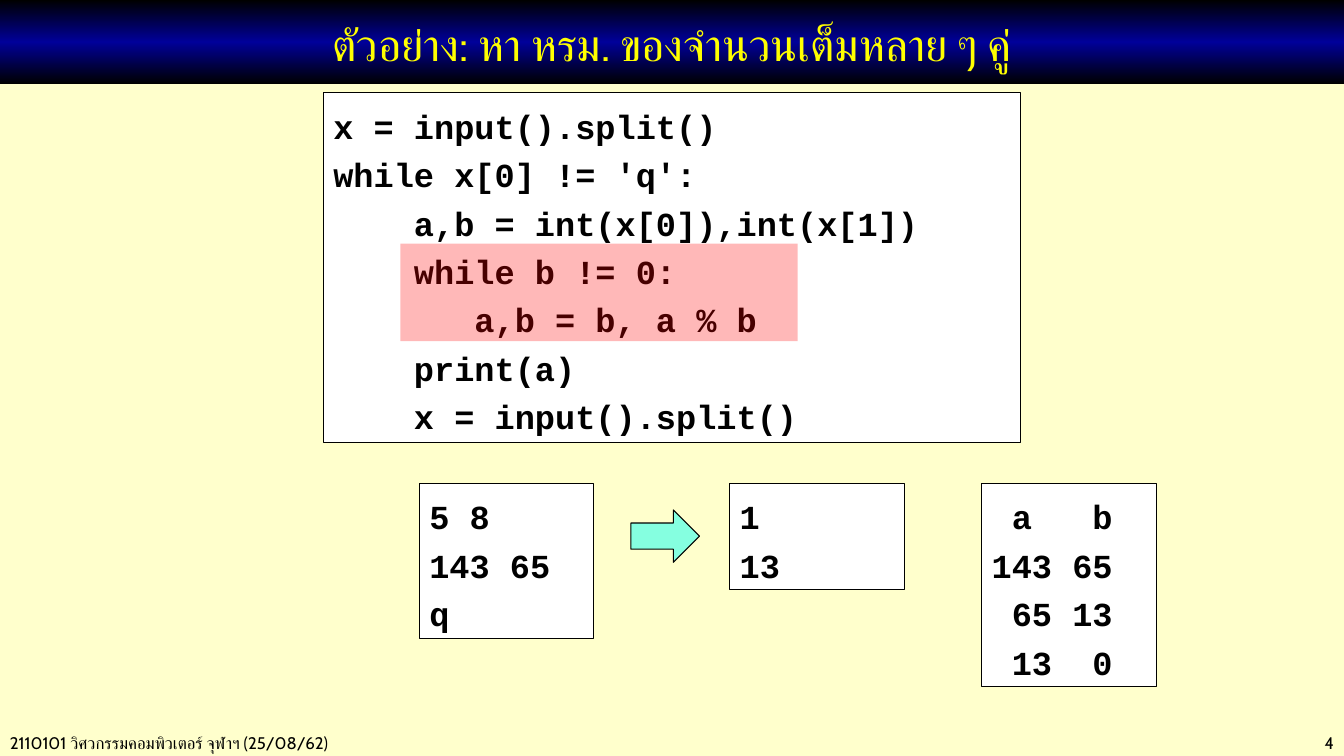
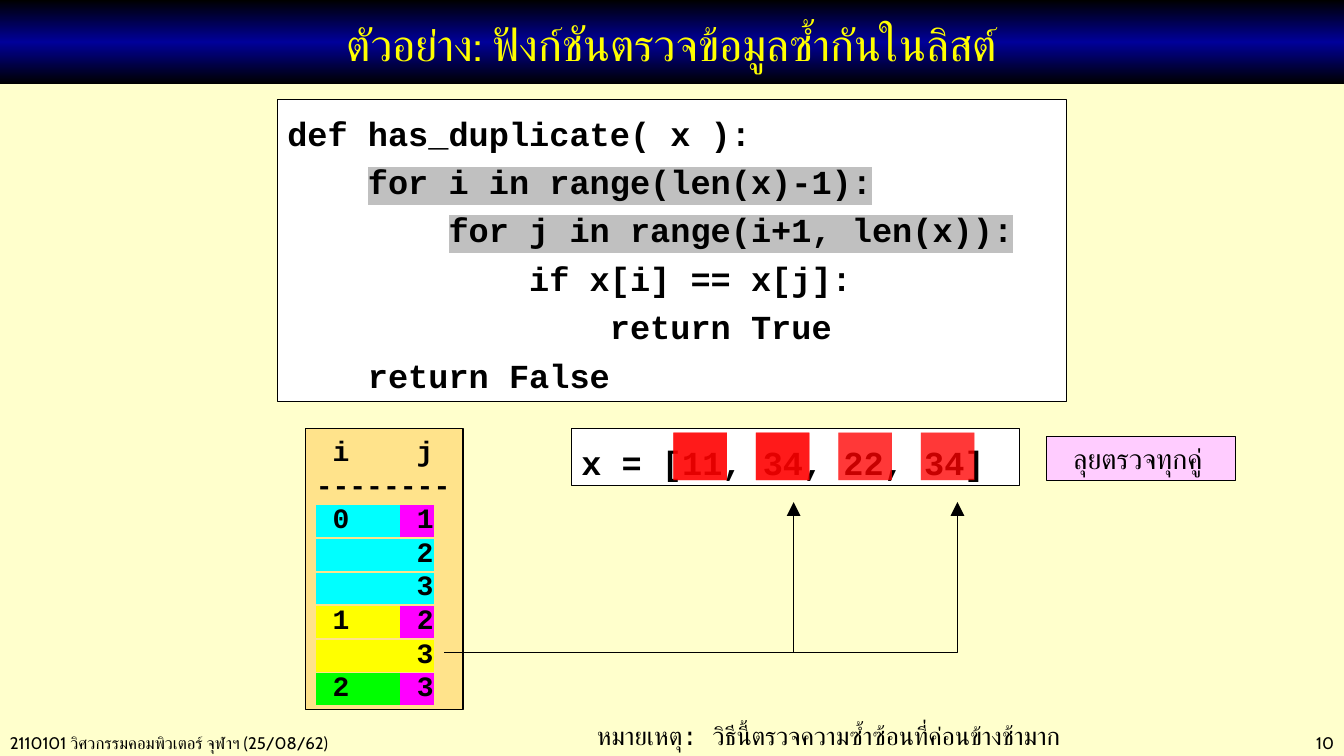
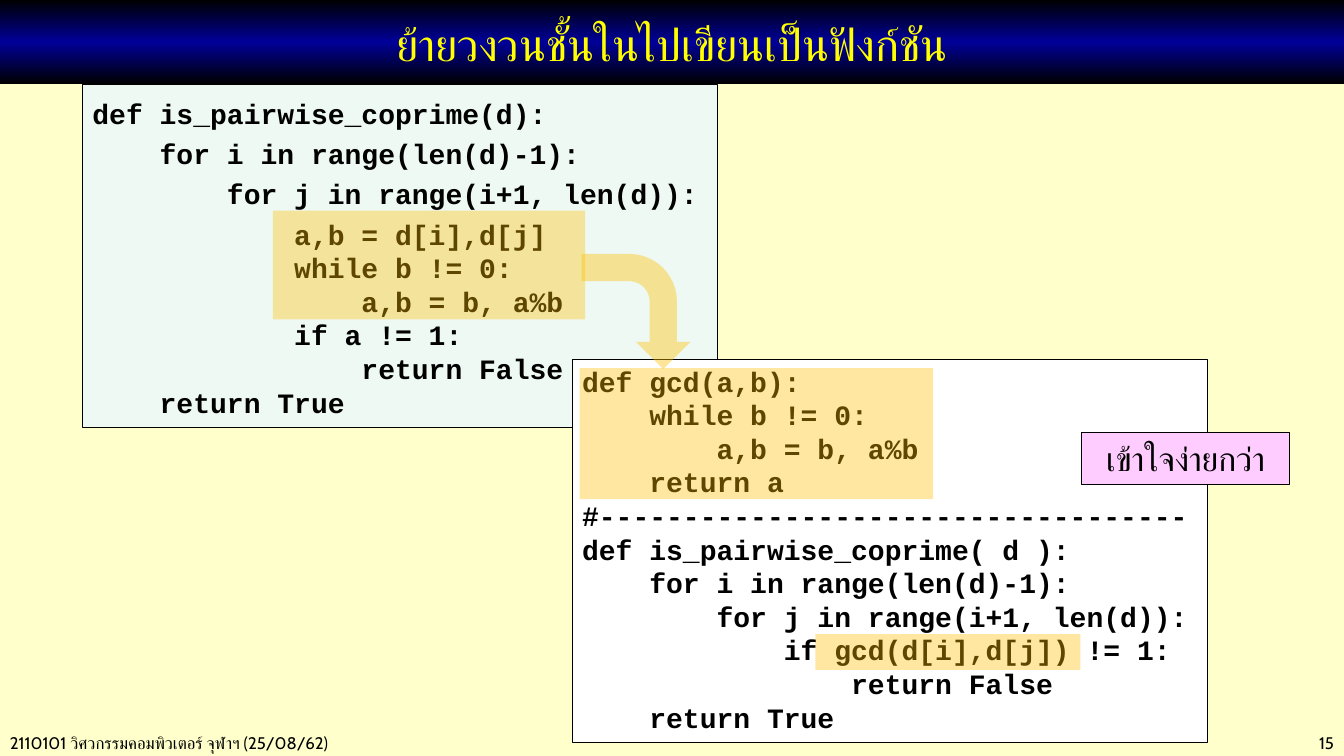
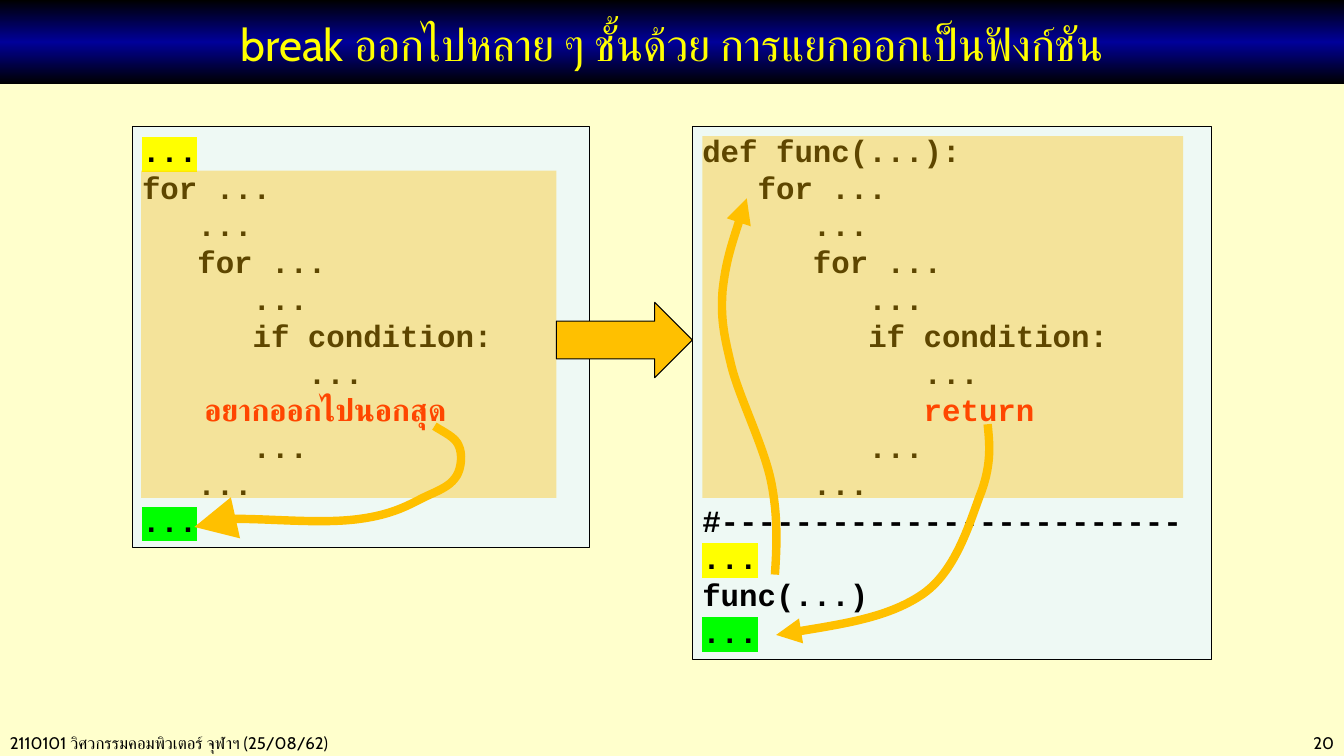
from copy import deepcopy
from itertools import combinations

from lxml import etree
from pptx import Presentation
from pptx.dml.color import RGBColor
from pptx.enum.shapes import MSO_CONNECTOR, MSO_SHAPE
from pptx.enum.text import MSO_ANCHOR, PP_ALIGN
from pptx.oxml.ns import qn
from pptx.util import Cm, Pt

RECT, ARROW, BENT = MSO_SHAPE.RECTANGLE, MSO_SHAPE.RIGHT_ARROW, MSO_SHAPE.BENT_ARROW
STRAIGHT = MSO_CONNECTOR.STRAIGHT
LEFT, MID, RIGHT = PP_ALIGN.LEFT, PP_ALIGN.CENTER, PP_ALIGN.RIGHT
TOP, MIDDLE = MSO_ANCHOR.TOP, MSO_ANCHOR.MIDDLE

BLACK = RGBColor(0x00, 0x00, 0x00)
WHITE = RGBColor(0xFF, 0xFF, 0xFF)
NAVY = RGBColor(0x00, 0x00, 0x99)
CREAM = RGBColor(0xFF, 0xFF, 0xCC)
YELLOW = RGBColor(0xFF, 0xFF, 0x00)
RED = RGBColor(0xFF, 0x00, 0x00)
GREEN = RGBColor(0x00, 0xFF, 0x00)
CYAN = RGBColor(0x00, 0xFF, 0xFF)
PURPLE = RGBColor(0xFF, 0x00, 0xFF)
GREY = RGBColor(0xC0, 0xC0, 0xC0)
AQUA = RGBColor(0x85, 0xFF, 0xE0)
PINK = RGBColor(0xFF, 0xCC, 0xFF)
SAND = RGBColor(0xFF, 0xE3, 0x8B)
MINT = RGBColor(0xEE, 0xF9, 0xF4)
AMBER = RGBColor(0xFF, 0xC0, 0x00)

BODY, MONO = "Cabin", "Courier New"
WIDE, HIGH = 33.87, 19.05
FOOTER = "2110101 วิศวกรรมคอมพิวเตอร์ จุฬาฯ (25/08/62)"


# Shared helpers: boxes are (left, top, width, height) in centimetres

def inside(box, x, y, w, h):
    return box[0] + x, box[1] + y, w, h


def write(frame, lines, size=24, font=MONO, thai=BODY, color=BLACK, bold=False,
          align=LEFT, anchor=TOP, space=None):
    """Each line is a string or a list of (text, color, highlight) parts."""
    frame.word_wrap = True
    frame.vertical_anchor = anchor
    for n, line in enumerate(lines):
        para = frame.add_paragraph() if n else frame.paragraphs[0]
        para.alignment = align
        if space:
            para.line_spacing = space
        parts = [(line, None, None)] if isinstance(line, str) else line
        for text, ink, back in parts:
            run = para.add_run()
            run.text = text
            run.font.size, run.font.bold, run.font.name = Pt(size), bold, font
            run.font.color.rgb = ink or color
            props = run.font._element
            props.find(qn("a:latin")).addnext(etree.Element(qn("a:cs"), typeface=thai))
            if back:
                high = etree.Element(qn("a:highlight"))
                etree.SubElement(high, qn("a:srgbClr"), val=str(back))
                props.find(qn("a:solidFill")).addnext(high)


def block(slide, box, fill, kind=RECT, edge=True, alpha=None):
    shape = slide.shapes.add_shape(kind, *map(Cm, box))
    shape.shadow.inherit = False
    shape.fill.solid()
    shape.fill.fore_color.rgb = fill
    if alpha:
        tint = shape._element.spPr.find(".//" + qn("a:srgbClr"))
        etree.SubElement(tint, qn("a:alpha"), val=str(alpha * 1000))
    if edge:
        shape.line.color.rgb = BLACK
        shape.line.width = Pt(0.75)
    else:
        shape.line.fill.background()
    return shape


def mark(slide, box, fill=AMBER, alpha=37, kind=RECT):
    return block(slide, box, fill, kind, edge=False, alpha=alpha)


def code(slide, box, lines, fill=WHITE, **fmt):
    write(block(slide, box, fill).text_frame, lines, bold=True, **fmt)


def label(slide, box, text, size):
    write(block(slide, box, PINK).text_frame, [text], size=size, align=MID)


def note(slide, box, text, **fmt):
    shape = slide.shapes.add_textbox(*map(Cm, box))
    write(shape.text_frame, [text], **fmt)
    return shape


def point(line, color, width, head):
    """Style a line and put an arrowhead at its end."""
    line.line.color.rgb = color
    line.line.width = Pt(width)
    props = line._element.spPr
    etree.SubElement(props.find(qn("a:ln")), qn("a:tailEnd"),
                     type="triangle", w=head, len=head)
    if props.find(qn("a:effectLst")) is None:
        etree.SubElement(props, qn("a:effectLst"))


def trail(slide, box, dots, color=BLACK, width=0.75, head="lg"):
    """Open line with an arrowhead through dots relative to the box."""
    spots = [(Cm(box[0] + x), Cm(box[1] + y)) for x, y in dots]
    maker = slide.shapes.build_freeform(*spots[0])
    maker.add_line_segments(spots[1:], close=False)
    shape = maker.convert_to_shape()
    shape.shadow.inherit = False
    shape.fill.background()
    point(shape, color, width, head)
    return shape


def curve(slide, box, knots, head="med"):
    """Cubic curves: a start, then two controls and an end for each one."""
    shape = trail(slide, box, knots, AMBER, 6, head)
    route = shape._element.spPr.find(".//" + qn("a:path"))
    legs = route.findall(qn("a:lnTo"))
    for k in range(0, len(legs), 3):
        bend = etree.SubElement(route, qn("a:cubicBezTo"))
        for leg in legs[k:k + 3]:
            bend.append(leg[0])
            route.remove(leg)


def share(prs, slide):
    """Put the background and the footer on the master."""
    master = prs.slide_master
    master.background.fill.solid()
    master.background.fill.fore_color.rgb = CREAM
    foot = note(slide, (0, 18.34, 13.2, 0.76), FOOTER, size=12, font=BODY)
    master.shapes._spTree.append(foot._element)


def start(prs, title, number):
    """Blank slide with title band and page number."""
    slide = prs.slides.add_slide(prs.slide_layouts[6])
    if len(prs.slides) == 1:
        share(prs, slide)
    band = block(slide, (0, 0, WIDE, 2.12), NAVY, edge=False)
    band.fill.gradient()
    band.fill.gradient_angle = 90
    stops = band._element.spPr.find(".//" + qn("a:gsLst"))
    stops.insert(1, deepcopy(stops[0]))
    for stop, (place, color) in zip(band.fill.gradient_stops,
                                    ((0, BLACK), (0.5, NAVY), (1, BLACK))):
        stop.position, stop.color.rgb = place, color
    band.text_frame.margin_top = Cm(0.2)
    write(band.text_frame, [title], size=32, font=BODY, color=YELLOW,
          align=MID, anchor=MIDDLE)
    note(slide, (29.2, 18.34, 4.67, 0.76), str(number), size=12, font=BODY, align=RIGHT)
    return slide


# Slide 1: greatest common divisor

def gcd_code(slide, box):
    code(slide, box, [
        "x = input().split()",
        "while x[0] != 'q':",
        "    a,b = int(x[0]),int(x[1])",
        "    while b != 0:",
        "       a,b = b, a % b",
        "    print(a)",
        "    x = input().split()"], space=1.2)
    mark(slide, inside(box, 1.94, 3.8, 10.01, 2.46), RED, 28)


def gcd_runs(slide, box):
    for x, high, lines in (
            (0, 3.91, ["5 8", "143 65", "q"]),
            (7.82, 2.67, ["1", "13"]),
            (14.17, 5.13, [" a   b", "143 65", " 65 13", " 13  0"])):
        code(slide, inside(box, x, 0, 4.4, high), lines, space=1.2)
    block(slide, inside(box, 5.33, 0.67, 1.73, 1.32), AQUA, ARROW)


# Slide 2: duplicates in a list

def pair_table(slide, box):
    rows = [" i    j", "--------"]
    for i, back in enumerate((CYAN, YELLOW, GREEN)):
        rows.append([(f" {i}   ", None, back), (f" {i + 1}", None, PURPLE)])
        rows += [[(f"      {j}", None, back)] for j in range(i + 2, 4)]
    code(slide, box, rows, SAND, size=20)


def pair_list(slide, box):
    code(slide, box, ["x = [11, 34, 22, 34]"], space=1.2)
    # Arrows from the table row to both items
    base, tip = 5.65, 1.85
    trail(slide, box, [(-3.2, base), (9.73, base), (9.73, tip)])
    x = Cm(box[0] + 5.6)
    line = slide.shapes.add_connector(STRAIGHT, x, Cm(box[1] + base), x, Cm(box[1] + tip))
    point(line, BLACK, 0.75, "lg")
    # Every compared pair but the last
    for pair in list(combinations(range(4), 2))[:-1]:
        for i in pair:
            mark(slide, inside(box, 2.57 + 2.08 * i, 0.1, 1.35, 1.2), RED, 53)


def twin_code(slide, box):
    code(slide, box, [
        "def has_duplicate( x ):",
        [("    ", None, None), ("for i in range(len(x)-1):", None, GREY)],
        [("        ", None, None), ("for j in range(i+1, len(x)):", None, GREY)],
        "            if x[i] == x[j]:",
        "                return True",
        "    return False"], space=1.2)


# Slide 3: inner loop becomes a function

def long_code(slide, box):
    frame = block(slide, box, MINT).text_frame
    write(frame, [
        "def is_pairwise_coprime(d):",
        "    for i in range(len(d)-1):",
        "        for j in range(i+1, len(d)):",
        "            a,b = d[i],d[j]",
        "            while b != 0:",
        "                a,b = b, a%b",
        "            if a != 1:",
        "                return False",
        "    return True"], size=20, bold=True)
    for para in frame.paragraphs[:4]:
        para.line_spacing = 1.2


def split_code(slide, box):
    code(slide, box, [
        "def gcd(a,b):",
        "    while b != 0:",
        "        a,b = b, a%b",
        "    return a",
        "#-----------------------------------",
        "def is_pairwise_coprime( d ):",
        "    for i in range(len(d)-1):",
        "        for j in range(i+1, len(d)):",
        "            if gcd(d[i],d[j]) != 1:",
        "                return False",
        "    return True"], size=20)
    mark(slide, inside(box, 6.13, 6.93, 6.68, 0.9))
    label(slide, inside(box, 12.83, 1.85, 5.26, 1.3), "เข้าใจง่ายกว่า", 24)
    # Moved lines and the way they go
    mark(slide, inside(box, -7.54, -3.74, 7.87, 2.74))
    mark(slide, inside(box, 0.19, 0.23, 8.91, 3.3))
    mark(slide, inside(box, 0.16, -2.57, 2.9, 2.74), alpha=40, kind=BENT).rotation = 90


# Slide 4: leaving nested loops

def loop_code(slide, box):
    code(slide, box, [
        [("...", None, YELLOW)],
        "for ...",
        "   ...",
        "   for ...",
        "      ...",
        "      if condition:",
        "         ...",
        [("         ", None, None), ("อยากออกไปนอกสุด", RED, None)],
        "      ...",
        "   ...",
        [("...", None, GREEN)]], MINT, size=22)
    mark(slide, inside(box, 0.23, 1.1, 10.46, 8.25))


def func_code(slide, box):
    code(slide, box, [
        "def func(...):",
        "   for ...",
        "      ...",
        "      for ...",
        "         ...",
        "         if condition:",
        "            ...",
        [("            ", None, None), ("return", RED, None)],
        "         ...",
        "      ...",
        "#-------------------------",
        [("...", None, YELLOW)],
        "func(...)",
        [("...", None, GREEN)]], MINT, size=22)
    mark(slide, inside(box, 0.25, 0.23, 12.12, 9.12))


def loop_paths(slide, box):
    curve(slide, box, [
        (7.62, 7.54), (7.87, 7.7), (8.15, 7.82), (8.23, 8.03),
        (8.33, 8.23), (8.3, 8.59), (8.18, 8.79),
        (8.05, 8.99), (7.9, 9.09), (7.49, 9.27),
        (7.08, 9.45), (6.7, 9.75), (5.71, 9.88),
        (4.72, 10.01), (1.19, 9.68), (1.57, 10.08)], head="lg")


def func_paths(slide, box):
    curve(slide, box, [
        (2.08, 11.28), (2.13, 10.54), (2.16, 9.8), (1.98, 8.92),
        (1.8, 8.05), (1.19, 6.83), (0.99, 6.05),
        (0.79, 5.23), (0.71, 4.83), (0.76, 4.12),
        (0.84, 3.4), (1.09, 2.62), (1.37, 1.8)])
    curve(slide, box, [
        (7.44, 7.49), (7.49, 7.98), (7.54, 8.46), (7.29, 9.17),
        (7.01, 9.88), (6.68, 11.15), (5.82, 11.76),
        (4.98, 12.34), (3.56, 12.57), (2.11, 12.8)])


def main():
    prs = Presentation()
    prs.slide_width, prs.slide_height = Cm(WIDE), Cm(HIGH)

    slide = start(prs, "ตัวอย่าง: หา หรม. ของจำนวนเต็มหลาย ๆ คู่", 4)
    gcd_code(slide, (8.15, 2.34, 17.58, 8.82))
    gcd_runs(slide, (10.57, 12.18, 18.57, 5.13))

    slide = start(prs, "ตัวอย่าง: ฟังก์ชันตรวจข้อมูลซ้ำกันในลิสต์", 10)
    twin_code(slide, (6.99, 2.51, 19.89, 7.6))
    pair_table(slide, (7.71, 10.8, 3.96, 7.09))
    pair_list(slide, (14.4, 10.8, 11.29, 1.44))
    label(slide, (26.37, 11, 4.76, 1.12), "ลุยตรวจทุกคู่ ", 20)
    note(slide, (14.79, 18.02, 14.3, 1.04),
         "หมายเหตุ: วิธีนี้ตรวจความซ้ำซ้อนที่ค่อนข้างช้ามาก", size=18, thai=MONO)

    slide = start(prs, "ย้ายวงวนชั้นในไปเขียนเป็นฟังก์ชัน", 15)
    long_code(slide, (2.08, 2.13, 16, 8.64))
    split_code(slide, (14.42, 9.05, 16, 9.67))

    slide = start(prs, "break ออกไปหลาย ๆ ชั้นด้วย การแยกออกเป็นฟังก์ชัน", 20)
    loop, func = (3.33, 3.2, 11.53, 10.6), (17.45, 3.2, 13.08, 13.42)
    loop_code(slide, loop)
    func_code(slide, func)
    block(slide, (14.02, 7.62, 3.43, 1.9), AMBER, ARROW)
    loop_paths(slide, loop)
    func_paths(slide, func)

    prs.save("out.pptx")


if __name__ == "__main__":
    main()
